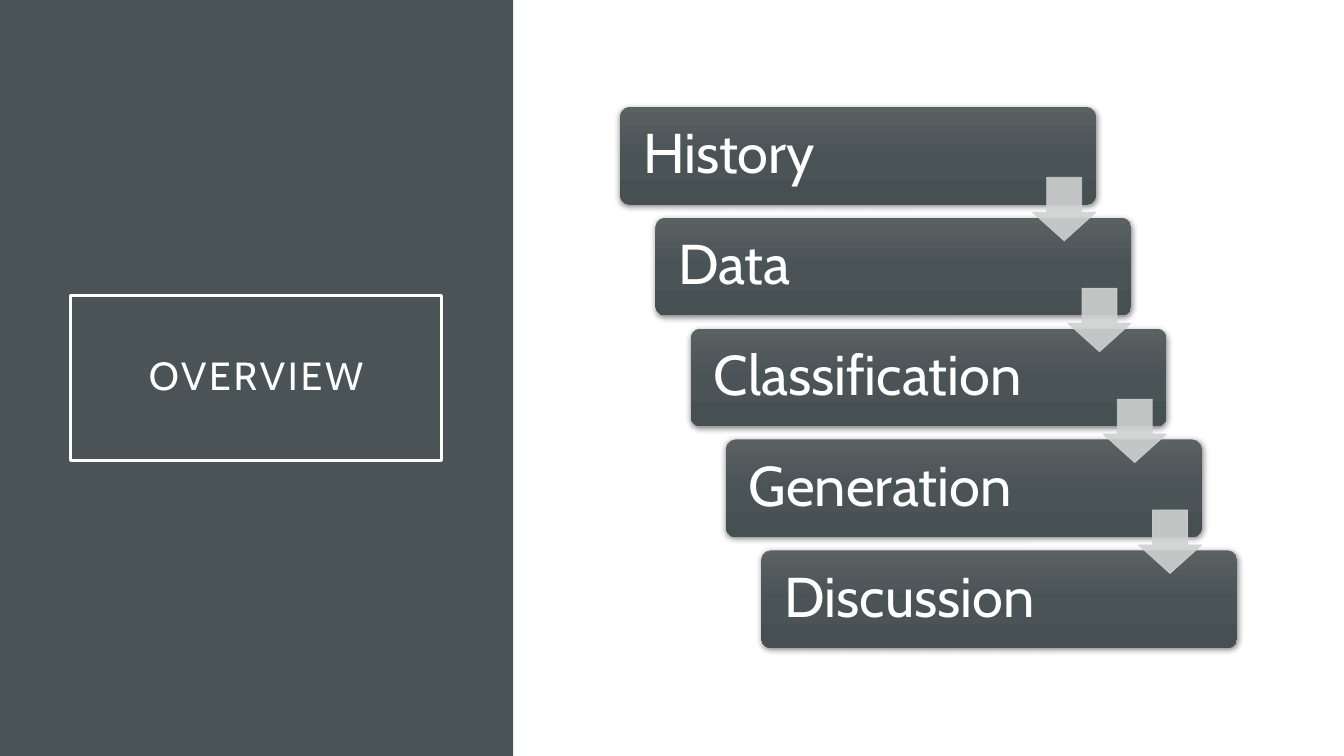
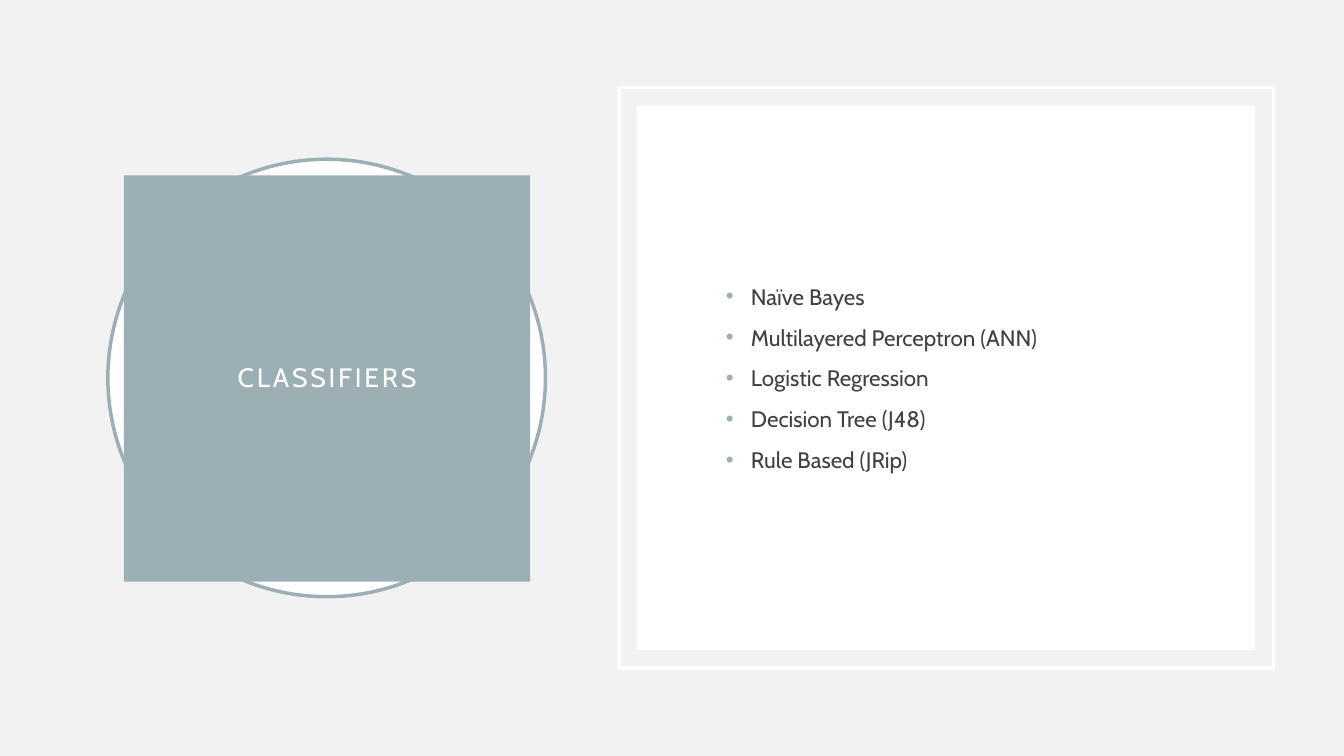
"""Build the overview and classifier slides."""
from copy import deepcopy

from lxml.etree import SubElement
from pptx import Presentation
from pptx.dml.color import RGBColor
from pptx.enum.shapes import MSO_SHAPE as SHAPE
from pptx.enum.text import MSO_ANCHOR as ANCHOR, PP_ALIGN as ALIGN
from pptx.oxml.ns import qn
from pptx.util import Inches, Pt

WHITE = RGBColor(0xFF, 0xFF, 0xFF)
PALE = RGBColor(0xF2, 0xF2, 0xF2)
SLATE = RGBColor(0x4A, 0x53, 0x56)
SLATE_LIGHT = RGBColor(0x5A, 0x61, 0x63)
SLATE_DARK = RGBColor(0x46, 0x50, 0x53)
MIST = RGBColor(0x9B, 0xAF, 0xB5)
SILVER = RGBColor(0xD0, 0xD1, 0xD1)
INK = RGBColor(0x40, 0x40, 0x40)
FONT = "Cabin"
FRAME_WIDTH = 2.5


class SlideBuilder:
    def __init__(self, deck):
        self.deck = deck
        self.page = None

    def new_page(self, background):
        self.page = self.deck.slides.add_slide(self.deck.slide_layouts[6])
        self.page.background.fill.solid()
        self.page.background.fill.fore_color.rgb = background

    def shape(self, kind, left, top, width, height, fill=None, line=None, line_width=FRAME_WIDTH):
        box = self.page.shapes.add_shape(
            kind, Inches(left), Inches(top), Inches(width), Inches(height))
        box.shadow.inherit = False
        if fill is None:
            box.fill.background()
        else:
            box.fill.solid()
            box.fill.fore_color.rgb = fill
        if line is None:
            box.line.fill.background()
        else:
            box.line.color.rgb = line
            box.line.width = Pt(line_width)
        return box

    def frame(self, box, inset):
        frame = box.text_frame
        frame.word_wrap = True
        frame.vertical_anchor = ANCHOR.MIDDLE
        frame.margin_left = frame.margin_right = Inches(inset)
        frame.margin_top = frame.margin_bottom = Inches(inset)
        return frame

    def add_span(self, para, text, size, color):
        span = para.add_run()
        span.text = text
        span.font.name = FONT
        span.font.size = Pt(size)
        span.font.color.rgb = color
        return span

    def title(self, text, size, left, top, width, height, fill=None, line=None):
        box = self.shape(SHAPE.RECTANGLE, left, top, width, height, fill, line)
        para = self.frame(box, 0.2).paragraphs[0]
        para.alignment = ALIGN.CENTER
        para.line_spacing = 0.9
        span = self.add_span(para, text, size, WHITE)
        span.font._element.set("spc", "200")

    def step_card(self, text, left, top, width, height):
        card = self.shape(SHAPE.ROUNDED_RECTANGLE, left, top, width, height)
        card.adjustments[0] = 0.1
        self.shade(card)
        self.drop_shadow(card)
        para = self.frame(card, 0.2).paragraphs[0]
        para.alignment = ALIGN.LEFT
        para.line_spacing = 0.9
        self.add_span(para, text, 40, WHITE)

    def shade(self, card):
        card.fill.gradient()
        card.fill.gradient_angle = 270
        stop_list = card._element.spPr.find(".//" + qn("a:gsLst"))
        stop_list.append(deepcopy(stop_list[-1]))
        colors = (SLATE_LIGHT, SLATE, SLATE_DARK)
        for index, (stop, color) in enumerate(zip(card.fill.gradient_stops, colors)):
            stop.position = index / 2
            stop.color.rgb = color

    def drop_shadow(self, card):
        effects = card._element.spPr.find(qn("a:effectLst"))
        shadow = SubElement(effects, qn("a:outerShdw"), blurRad=str(Pt(4.4)),
                            dist=str(Pt(1.2)), dir="5400000", rotWithShape="0")
        color = SubElement(shadow, qn("a:srgbClr"), val="000000")
        SubElement(color, qn("a:alpha"), val="45000")

    def step_arrow(self, left, top, size):
        arrow = self.shape(SHAPE.DOWN_ARROW, left, top, size, size, SILVER, SILVER, 0.5)
        arrow.adjustments[0] = 0.55
        arrow.adjustments[1] = 0.45
        for color in arrow._element.spPr.iter(qn("a:srgbClr")):
            SubElement(color, qn("a:alpha"), val="90000")

    def bullets(self, items, left, top, width, height):
        box = self.page.shapes.add_textbox(
            Inches(left), Inches(top), Inches(width), Inches(height))
        frame = self.frame(box, 0.1)
        for index, item in enumerate(items):
            para = frame.add_paragraph() if index else frame.paragraphs[0]
            para.space_before = Pt(10)
            self.add_span(para, item, 16, INK)
            props = para._p.get_or_add_pPr()
            props.set("marL", str(Inches(0.5)))
            props.set("indent", str(Inches(-0.25)))
            color = SubElement(props, qn("a:buClr"))
            SubElement(color, qn("a:srgbClr"), val=str(MIST))
            SubElement(props, qn("a:buFont"), typeface="Arial")
            SubElement(props, qn("a:buChar"), char="•")


def overview(builder):
    builder.new_page(WHITE)
    builder.shape(SHAPE.RECTANGLE, 0, 0, 5.09, 7.5, SLATE)
    builder.title("OVERVIEW", 28, 0.7, 2.93, 3.68, 1.64, line=WHITE)
    steps = ("History", "Data", "Classification", "Generation", "Discussion")
    card_width, card_height, arrow_size = 4.72, 0.97, 0.63
    corners = [(6.15 + 0.35 * index, 1.06 + 1.1 * index) for index in range(len(steps))]
    for step, (left, top) in zip(steps, corners):
        builder.step_card(step, left, top, card_width, card_height)
    for left, top in corners[:-1]:
        builder.step_arrow(left + card_width - arrow_size, top + 0.7, arrow_size)


def classifiers(builder):
    builder.new_page(PALE)
    builder.shape(SHAPE.OVAL, 1.07, 1.58, 4.34, 4.34, WHITE, MIST)
    builder.shape(SHAPE.RECTANGLE, 6.14, 0.87, 6.49, 5.76, line=WHITE)
    builder.shape(SHAPE.RECTANGLE, 6.32, 1.05, 6.13, 5.4, WHITE)
    builder.title("CLASSIFIERS", 19, 1.23, 1.74, 4.03, 4.03, fill=MIST)
    builder.bullets(
        ("Naïve Bayes", "Multilayered Perceptron (ANN)", "Logistic Regression",
         "Decision Tree (J48)", "Rule Based (JRip)"),
        6.85, 1.58, 5.09, 4.34)


def main():
    deck = Presentation()
    deck.slide_width = Inches(13.33)
    deck.slide_height = Inches(7.5)
    builder = SlideBuilder(deck)
    overview(builder)
    classifiers(builder)
    deck.save("out.pptx")


if __name__ == "__main__":
    main()
